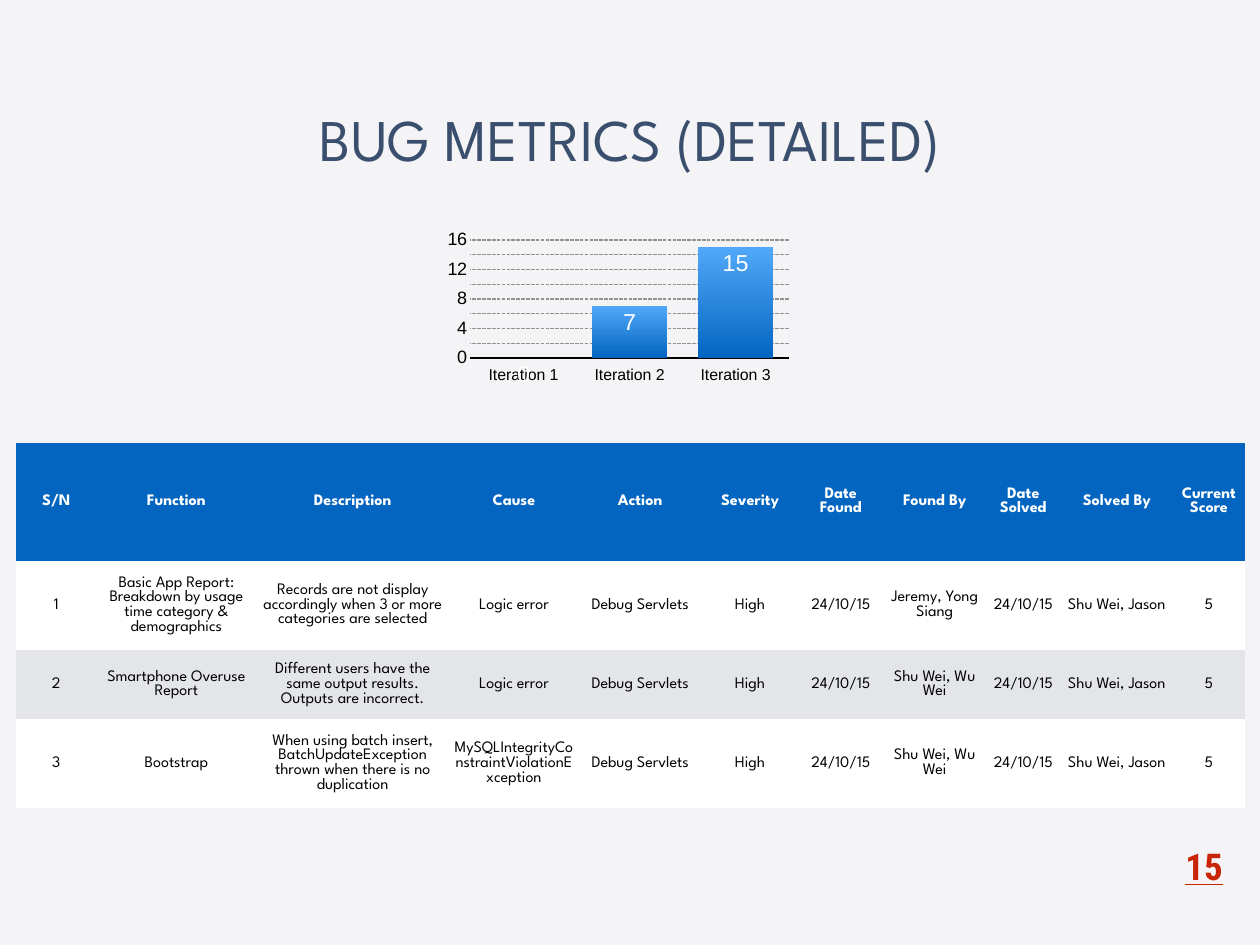
from lxml import etree
from pptx import Presentation
from pptx.chart.data import CategoryChartData
from pptx.dml.color import RGBColor
from pptx.enum.chart import XL_CHART_TYPE, XL_LABEL_POSITION, XL_TICK_LABEL_POSITION, XL_TICK_MARK
from pptx.enum.dml import MSO_LINE
from pptx.enum.text import MSO_ANCHOR, PP_ALIGN
from pptx.oxml.ns import qn
from pptx.util import Inches, Pt

COLUMNS = XL_CHART_TYPE.COLUMN_CLUSTERED
INSIDE_END = XL_LABEL_POSITION.INSIDE_END
LOW = XL_TICK_LABEL_POSITION.LOW
NO_TICK = XL_TICK_MARK.NONE
DASH = MSO_LINE.SQUARE_DOT
MIDDLE = MSO_ANCHOR.MIDDLE
CENTER = PP_ALIGN.CENTER

# Content
TITLE = "BUG METRICS (DETAILED)"
PAGE_NUMBER = "15"
BUGS_PER_ITERATION = {"Iteration 1": 0, "Iteration 2": 7, "Iteration 3": 15}
BUG_LOG = [
    ("S/N", "Function", "Description", "Cause", "Action", "Severity", "Date Found",
     "Found By", "Date Solved", "Solved By", "Current Score"),
    ("1", "Basic App Report: Breakdown by usage time category & demographics",
     "Records are not display accordingly when 3 or more categories are selected",
     "Logic error", "Debug Servlets", "High", "24/10/15", "Jeremy, Yong Siang",
     "24/10/15", "Shu Wei, Jason", "5"),
    ("2", "Smartphone Overuse Report",
     "Different users have the same output results. Outputs are incorrect.",
     "Logic error", "Debug Servlets", "High", "24/10/15", "Shu Wei, Wu Wei",
     "24/10/15", "Shu Wei, Jason", "5"),
    ("3", "Bootstrap",
     "When using batch insert, BatchUpdateException thrown when there is no duplication",
     "MySQLIntegrityConstraintViolationException", "Debug Servlets", "High", "24/10/15",
     "Shu Wei, Wu Wei", "24/10/15", "Shu Wei, Jason", "5"),
]

# Look and measures in inches
HEADING_FONT, CHART_FONT, NUMBER_FONT = "League Spartan", "Arial", "Roboto Condensed"
NAVY, BLUE, SKY, RED = "3A4E6E", "0365C0", "51A8F9", "C82506"
WHITE, BLACK, PALE, BAND, GRID = "FFFFFF", "000000", "F4F3F5", "E3E5E8", "929292"
COLUMN_WIDTHS = [0.91, 1.8, 2.18, 1.46, 1.39, 1.09, 0.96, 1.16, 0.84, 1.27, 0.81]
ROW_HEIGHTS = [1.33, 1.01, 0.78, 1]
MARGIN = Inches(0.06)
PLOT_AREA = {"x": 0.102, "y": 0.118, "w": 0.893, "h": 0.715}
PLAIN_TABLE_STYLE = "{2D5ABB26-0587-4C30-8999-92F81FD0307C}"


def rgb(color):
    return RGBColor.from_string(color)


def style_font(font, name, size, color, bold=False):
    font.name, font.size, font.bold = name, Pt(size), bold
    font.color.rgb = rgb(color)


def write(frame, text, *style):
    frame.text = text
    paragraph = frame.paragraphs[0]
    paragraph.alignment = CENTER
    style_font(paragraph.runs[0].font, *style)


def set_margins(box):
    box.margin_left = box.margin_right = box.margin_top = box.margin_bottom = MARGIN
    box.vertical_anchor = MIDDLE


def add_title(slide):
    title = slide.shapes.title
    title.left, title.top = Inches(0.1), Inches(0.69)
    title.width, title.height = Inches(14.03), Inches(1.74)
    set_margins(title.text_frame)
    write(title.text_frame, TITLE, HEADING_FONT, 48, NAVY)


def add_bug_log(slide):
    log = slide.shapes.add_table(
        len(BUG_LOG), len(COLUMN_WIDTHS), Inches(0.18), Inches(5),
        Inches(sum(COLUMN_WIDTHS)), Inches(sum(ROW_HEIGHTS))).table
    log.first_row = log.horz_banding = False
    log._tbl.tblPr.find(qn("a:tableStyleId")).text = PLAIN_TABLE_STYLE
    for column, width in zip(log.columns, COLUMN_WIDTHS):
        column.width = Inches(width)
    for index, (row, height, texts) in enumerate(zip(log.rows, ROW_HEIGHTS, BUG_LOG)):
        row.height = Inches(height)
        header = index == 0
        background = BLUE if header else WHITE if index % 2 else BAND
        for cell, text in zip(row.cells, texts):
            set_margins(cell)
            cell.fill.solid()
            cell.fill.fore_color.rgb = rgb(background)
            write(cell.text_frame, text, HEADING_FONT, 13, WHITE if header else BLACK, header)


def add_page_number(slide):
    number = slide.shapes.add_textbox(
        Inches(13.29), Inches(9.46), Inches(0.6), Inches(0.64)).text_frame
    number.word_wrap = False
    set_margins(number)
    write(number, PAGE_NUMBER, NUMBER_FONT, 30, RED, True)
    number.paragraphs[0].runs[0].font.underline = True


def set_plot_area(chart):
    plot_area = chart._chartSpace.chart.plotArea
    for old in plot_area.findall(qn("c:layout")):
        plot_area.remove(old)
    layout = etree.Element(qn("c:layout"))
    manual = etree.SubElement(layout, qn("c:manualLayout"))
    settings = {"layoutTarget": "inner", "xMode": "edge", "yMode": "edge", **PLOT_AREA}
    for tag, value in settings.items():
        etree.SubElement(manual, qn(f"c:{tag}")).set("val", str(value))
    plot_area.insert(0, layout)


def add_bug_chart(slide):
    counts = CategoryChartData()
    counts.categories = list(BUGS_PER_ITERATION)
    counts.add_series("Series 1", list(BUGS_PER_ITERATION.values()))
    chart = slide.shapes.add_chart(
        COLUMNS, Inches(4.9), Inches(2.49), Inches(4.02), Inches(1.88), counts).chart
    chart.has_legend = chart.has_title = False
    style_font(chart.font, HEADING_FONT, 10, NAVY)
    set_plot_area(chart)

    # Axes
    iterations, scale = chart.category_axis, chart.value_axis
    for axis, size in ((iterations, 12.9), (scale, 14.6)):
        axis.major_tick_mark = axis.minor_tick_mark = NO_TICK
        style_font(axis.tick_labels.font, CHART_FONT, size, BLACK)
    iterations.tick_label_position = LOW
    iterations.format.line.color.rgb = rgb(BLACK)
    iterations.format.line.width = Pt(1)
    scale.minimum_scale, scale.maximum_scale, scale.major_unit = 0, 16, 2
    scale.format.line.fill.background()
    scale.has_major_gridlines = True
    grid = scale.major_gridlines.format.line
    grid.color.rgb, grid.width, grid.dash_style = rgb(GRID), Pt(1), DASH

    # Columns and their labels
    plot = chart.plots[0]
    plot.gap_width, plot.overlap, plot.vary_by_categories = 40, -10, False
    bugs = plot.series[0]
    bugs.invert_if_negative = False
    fill = bugs.format.fill
    fill.gradient()
    fill.gradient_angle = 270
    for stop, color, position in zip(fill.gradient_stops, (SKY, BLUE), (0, 1)):
        stop.color.rgb, stop.position = rgb(color), position
    labels = bugs.data_labels
    labels.show_value, labels.position = True, INSIDE_END
    labels.number_format, labels.number_format_is_linked = "#,##0", False
    style_font(labels.font, CHART_FONT, 18.9, WHITE)


def main():
    deck = Presentation()
    deck.slide_width, deck.slide_height = Inches(14.22), Inches(10.67)
    slide = deck.slides.add_slide(deck.slide_layouts[5])
    slide.background.fill.solid()
    slide.background.fill.fore_color.rgb = rgb(PALE)
    add_title(slide)
    add_bug_log(slide)
    add_page_number(slide)
    add_bug_chart(slide)
    deck.save("out.pptx")


if __name__ == "__main__":
    main()
